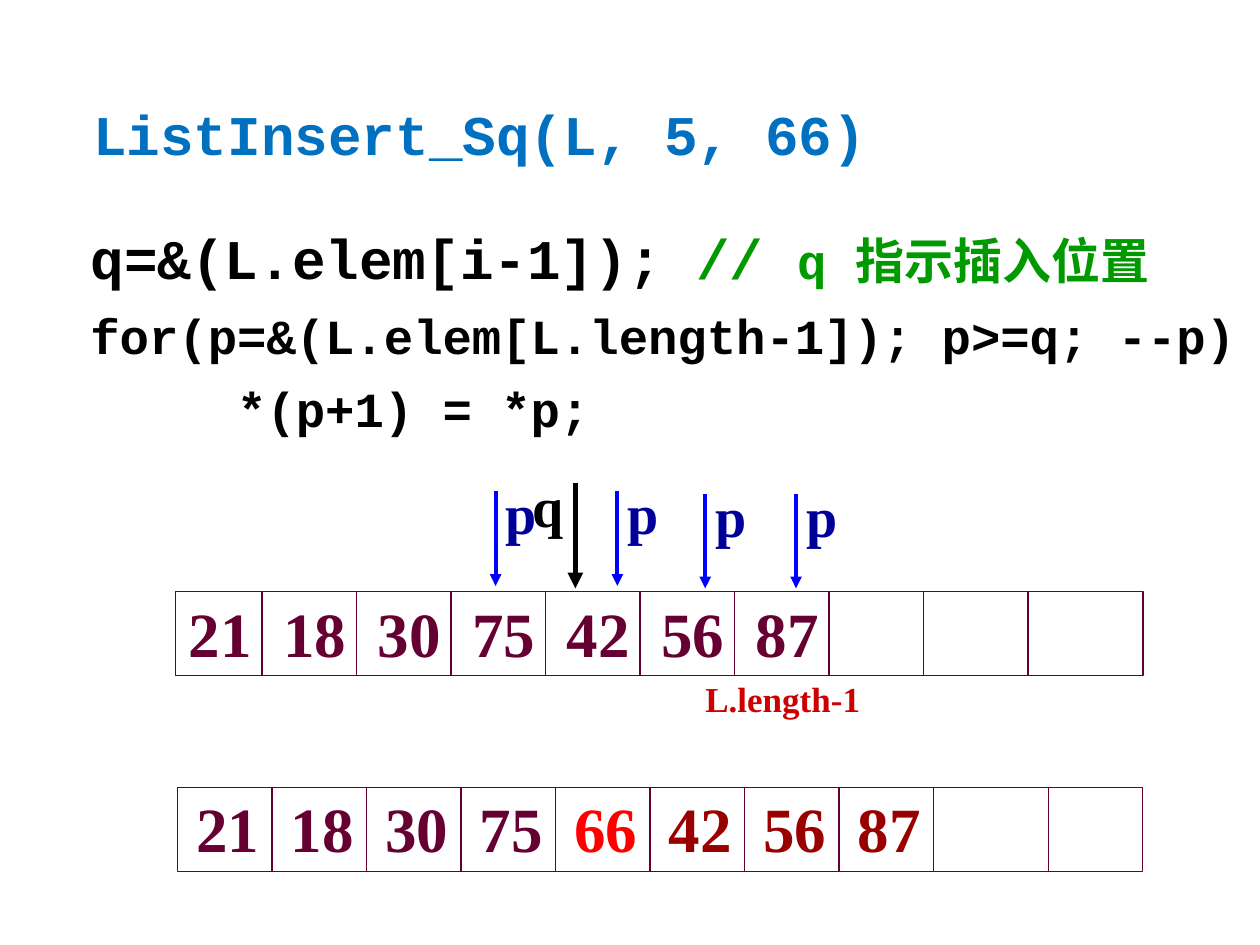
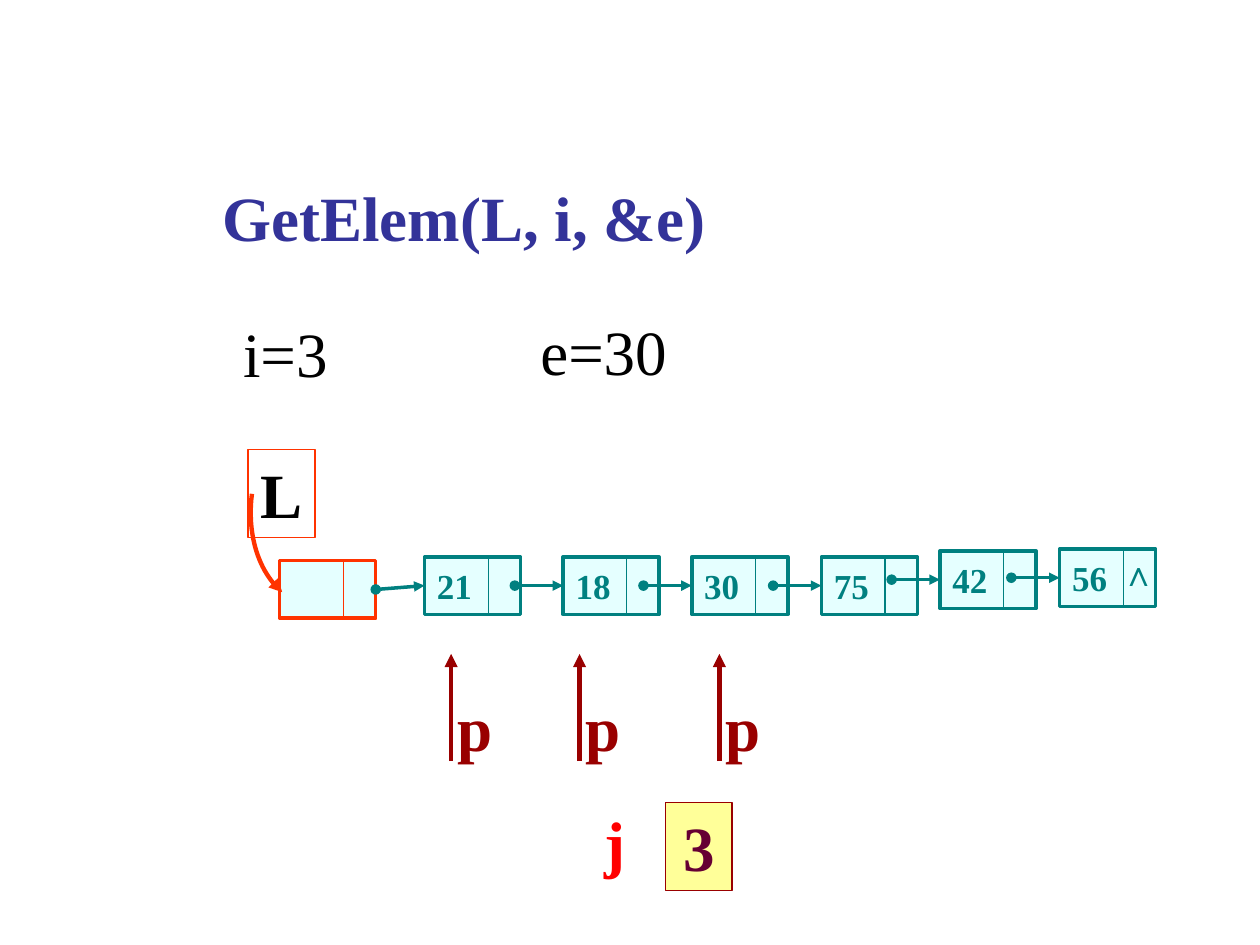
"""Build two slides on sequential-list insertion and linked-list lookup."""
from lxml import etree
from pptx import Presentation
from pptx.dml.color import RGBColor
from pptx.enum import shapes, text
from pptx.oxml import ns
from pptx.util import Pt

BLACK = RGBColor(0x00, 0x00, 0x00)
PLUM = RGBColor(0x66, 0x00, 0x33)
MAROON = RGBColor(0x99, 0x00, 0x00)
RED = RGBColor(0xFF, 0x00, 0x00)
CRIMSON = RGBColor(0xCC, 0x00, 0x00)
ORANGE = RGBColor(0xFF, 0x33, 0x00)
SKY = RGBColor(0x00, 0x70, 0xC0)
BLUE = RGBColor(0x00, 0x00, 0xFF)
NAVY = RGBColor(0x00, 0x00, 0x99)
INDIGO = RGBColor(0x33, 0x33, 0x99)
GREEN = RGBColor(0x00, 0x99, 0x00)
TEAL = RGBColor(0x00, 0x80, 0x80)
PALE_CYAN = RGBColor(0xCC, 0xFF, 0xFF)
PALE_YELLOW = RGBColor(0xFF, 0xFF, 0x99)

SERIF, MONO = "Times New Roman", "Courier New"
CELL_W, ROW_H = 54, 48.2
NODE_W, NODE_H, NODE_SPLIT, LINK_W = 54.9, 32.9, 36.4, 27.6


def add_run(p, content, size=36, color=BLACK, font=SERIF, bold=True):
    """Append a formatted run to a paragraph."""
    r = p.add_run()
    r.text = content
    r.font.size, r.font.name, r.font.bold = Pt(size), font, bold
    r.font.color.rgb = color


def add_text(s, content, x, y, w, h=50.4, wrap=False, align=None, spacing=None, **fmt):
    """Add a one-line text box."""
    tf = s.shapes.add_textbox(Pt(x), Pt(y), Pt(w), Pt(h)).text_frame
    tf.word_wrap = wrap
    tf.auto_size = text.MSO_AUTO_SIZE.SHAPE_TO_FIT_TEXT
    p = tf.paragraphs[0]
    p.alignment, p.line_spacing = align, spacing
    add_run(p, content, **fmt)


def add_box(s, x, y, w, h, line, width=0.75, fill=None, alpha=None):
    """Add an outlined rectangle with an optional, possibly translucent, fill."""
    sp = s.shapes.add_shape(shapes.MSO_SHAPE.RECTANGLE, Pt(x), Pt(y), Pt(w), Pt(h))
    sp.shadow.inherit = False
    sp.line.color.rgb, sp.line.width = line, Pt(width)
    if fill is None:
        sp.fill.background()
    else:
        sp.fill.solid()
        sp.fill.fore_color.rgb = fill
    if alpha:
        clr = sp.fill._xPr.find(".//" + ns.qn("a:srgbClr"))
        etree.SubElement(clr, ns.qn("a:alpha"), val=str(alpha * 1000))
    return sp


def label_box(sp, content, anchor=text.MSO_ANCHOR.TOP, align=text.PP_ALIGN.LEFT, **fmt):
    """Write a label inside a rectangle."""
    tf = sp.text_frame
    tf.word_wrap, tf.vertical_anchor = False, anchor
    tf.paragraphs[0].alignment = align
    add_run(tf.paragraphs[0], content, **fmt)


def set_ends(line, head=None, tail=None):
    """Set the line ends of a line format."""
    ln = line._get_or_add_ln()
    for tag, kind in (("a:headEnd", head), ("a:tailEnd", tail)):
        if kind:
            etree.SubElement(ln, ns.qn(tag), type=kind)


def add_line(s, x1, y1, x2, y2, color, width=0.75, head=None, tail=None):
    """Add a straight connector."""
    c = s.shapes.add_connector(shapes.MSO_CONNECTOR.STRAIGHT, Pt(x1), Pt(y1), Pt(x2), Pt(y2))
    c.line.color.rgb, c.line.width = color, Pt(width)
    set_ends(c.line, head, tail)
    etree.SubElement(c._element.spPr, ns.qn("a:effectLst"))
    return c


def add_curve(s, controls, color, width, steps=24):
    """Add a cubic curve that ends in an arrowhead."""
    def point(t):
        weights = ((1 - t) ** 3, 3 * t * (1 - t) ** 2, 3 * t * t * (1 - t), t ** 3)
        return tuple(Pt(sum(k * c[axis] for k, c in zip(weights, controls))) for axis in (0, 1))

    pts = [point(i / steps) for i in range(steps + 1)]
    fb = s.shapes.build_freeform(*pts[0])
    fb.add_line_segments(pts[1:], close=False)
    sp = fb.convert_to_shape()
    sp.shadow.inherit = False
    sp.fill.background()
    sp.line.color.rgb, sp.line.width = color, Pt(width)
    set_ends(sp.line, tail="triangle")


def add_array(s, x, y, w, first_divider, last_divider, text_x, text_y, values):
    """Draw an array row with its dividers and (value, colour) cells."""
    add_box(s, x, y, w, ROW_H, PLUM)
    for div_x in [first_divider + CELL_W * i for i in range(8)] + [last_divider]:
        add_line(s, div_x, y, div_x, y + ROW_H, PLUM)
    for i, (value, color) in enumerate(values):
        add_text(s, value, text_x + CELL_W * i, text_y, 50.4, color=color)


def add_node(s, x, y, color, value=None, previous=None):
    """Draw a list node and the link from the previous node."""
    sp = add_box(s, x, y, NODE_W, NODE_H, color, 2, PALE_CYAN, 50)
    if value:
        label_box(sp, value, text.MSO_ANCHOR.MIDDLE, size=20, color=color)
    add_line(s, x + NODE_SPLIT, y, x + NODE_SPLIT, y + NODE_H, color)
    if previous:
        mid = y + NODE_H / 2
        link = add_line(s, x - LINK_W, mid, x, mid, color, 2, "oval", "triangle")
        if not previous.has_text_frame or not previous.text_frame.text:
            link.begin_connect(previous, 3)
        link.end_connect(sp, 1)
    return sp


def add_code(s, lines, x, y, w, h):
    """Add a code block given as lines of (text, size, colour) runs."""
    tf = s.shapes.add_textbox(Pt(x), Pt(y), Pt(w), Pt(h)).text_frame
    tf.word_wrap = False
    for i, runs in enumerate(lines):
        p = tf.add_paragraph() if i else tf.paragraphs[0]
        p.line_spacing = 1.25
        for content, size, color in runs:
            add_run(p, content, size, color, MONO)


def build_insert_slide(s):
    """Show insertion into a sequential list."""
    add_text(s, "ListInsert_Sq(L, 5, 66)", 46.1, 53.3, 476, 46, size=32, color=SKY, font=MONO)
    add_code(s, [
        [("q=&(L.elem[i-1]); ", 32, BLACK), ("// ", 32, GREEN), ("q 指示插入位置", 28, GREEN)],
        [("for(p=&(L.elem[L.length-1]); p>=q; --p)", 28, BLACK)],
        [("     *(p+1) = *p;", 28, BLACK)],
    ], 44.6, 114.5, 702, 139.7)

    before = [(v, PLUM) for v in ("21", "18", "30", "75", "42", "56", "87")]
    after = before[:4] + [("66", RED)] + [(v, MAROON) for v, _ in before[4:]]
    add_array(s, 100.1, 337.9, 553, 149.8, 587.5, 100.8, 336.2, before)
    add_array(s, 101.5, 450, 551.5, 155.5, 599, 105.1, 447.8, after)
    add_text(s, "L.length-1", 396, 383.8, 103, 31.7, size=20, color=CRIMSON)

    for x, y in ((283.2, 280.8), (352.8, 280.8), (403, 282.2), (454.9, 282.2)):
        add_line(s, x, y, x, y + 54, BLUE, 2.25, tail="triangle")
        add_text(s, "p", x - 1.2, y - 10.8, 32.4, 46, size=32, color=NAVY)
    add_line(s, 328.8, 275.8, 328.8, 336.2, BLACK, 3, tail="triangle")
    add_text(s, "q", 297.4, 265.7, 32.4, 46, size=32)


def build_lookup_slide(s):
    """Show element lookup in a linked list."""
    add_text(s, "GetElem(L, i, &e)", 120.2, 90, 498, 59, wrap=True, spacing=1.2, color=INDIGO)
    add_text(s, "i=3", 131.8, 167.8, 282, 137.5, wrap=True, spacing=1.2, bold=False)
    add_text(s, "e=30", 257.8, 162, 174.2, 63.4, wrap=True, spacing=1.3,
             align=text.PP_ALIGN.CENTER, bold=False)

    node = add_node(s, 159.8, 320.4, ORANGE)
    label_box(add_box(s, 141.8, 257, 38.2, 50.4, ORANGE), "L")
    add_curve(s, ((144, 282.2), (141, 306), (148, 327), (161.3, 338.4)), ORANGE, 2.5)
    for value, x, y in (("21", 242.6, 318.2), ("18", 321.8, 318.2), ("30", 395.3, 318.2),
                        ("75", 469.4, 318.2), ("42", 537.1, 314.8), ("56", 605.5, 313.7)):
        node = add_node(s, x, y, TEAL, value, node)
    add_text(s, "∧", 633.6, 311.8, 30.2, 31.7, size=20, color=TEAL)

    for x in (257.8, 331.2, 411.1):
        add_line(s, x, 434.9, x, 373.7, MAROON, 2.5, tail="triangle")
        add_text(s, "p", x - 3.6, 390.2, 34.6, color=MAROON)
    add_text(s, "j", 338.4, 455.8, 25.9, color=RED)
    label_box(add_box(s, 380.2, 458.6, 38.2, 50.4, MAROON, fill=PALE_YELLOW), "3",
              align=text.PP_ALIGN.CENTER, color=PLUM)


def main():
    """Build and save the presentation."""
    prs = Presentation()
    prs.slide_width, prs.slide_height = Pt(720), Pt(540)
    for build in (build_insert_slide, build_lookup_slide):
        build(prs.slides.add_slide(prs.slide_layouts[6]))
    prs.save("out.pptx")


if __name__ == "__main__":
    main()
